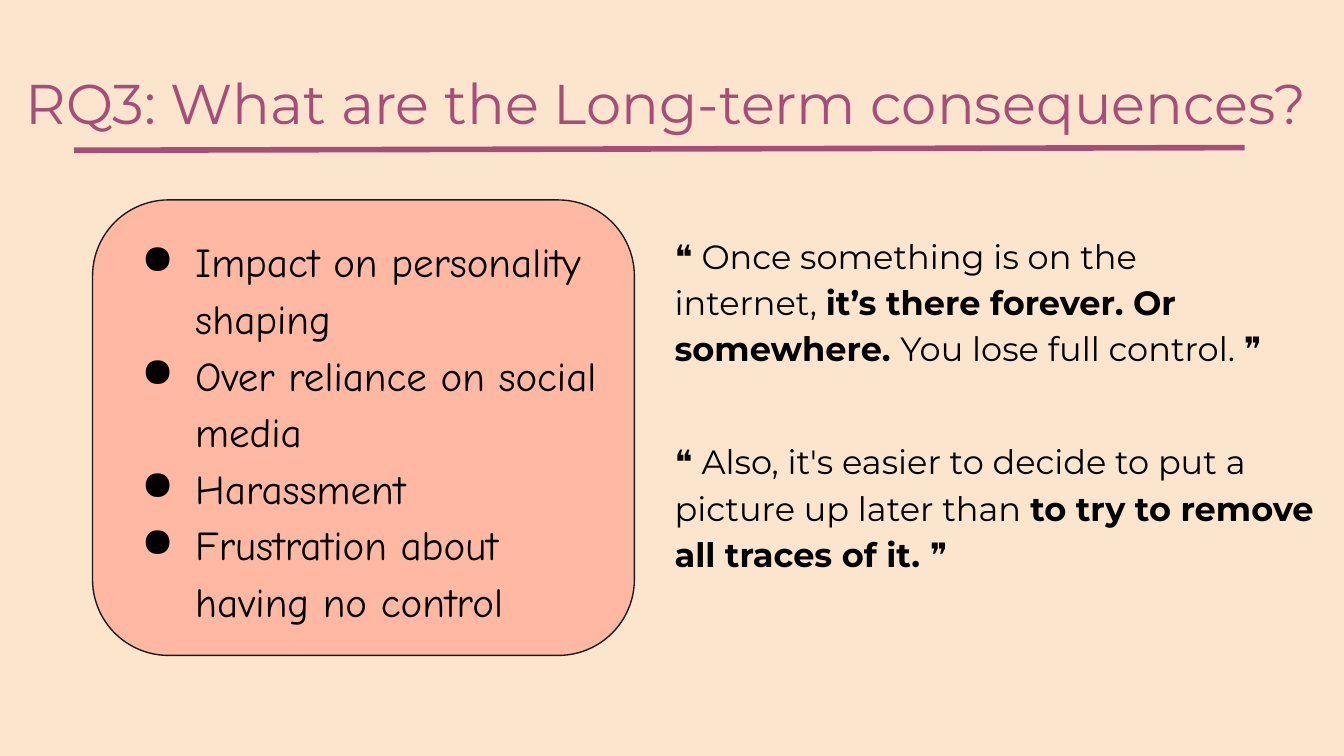
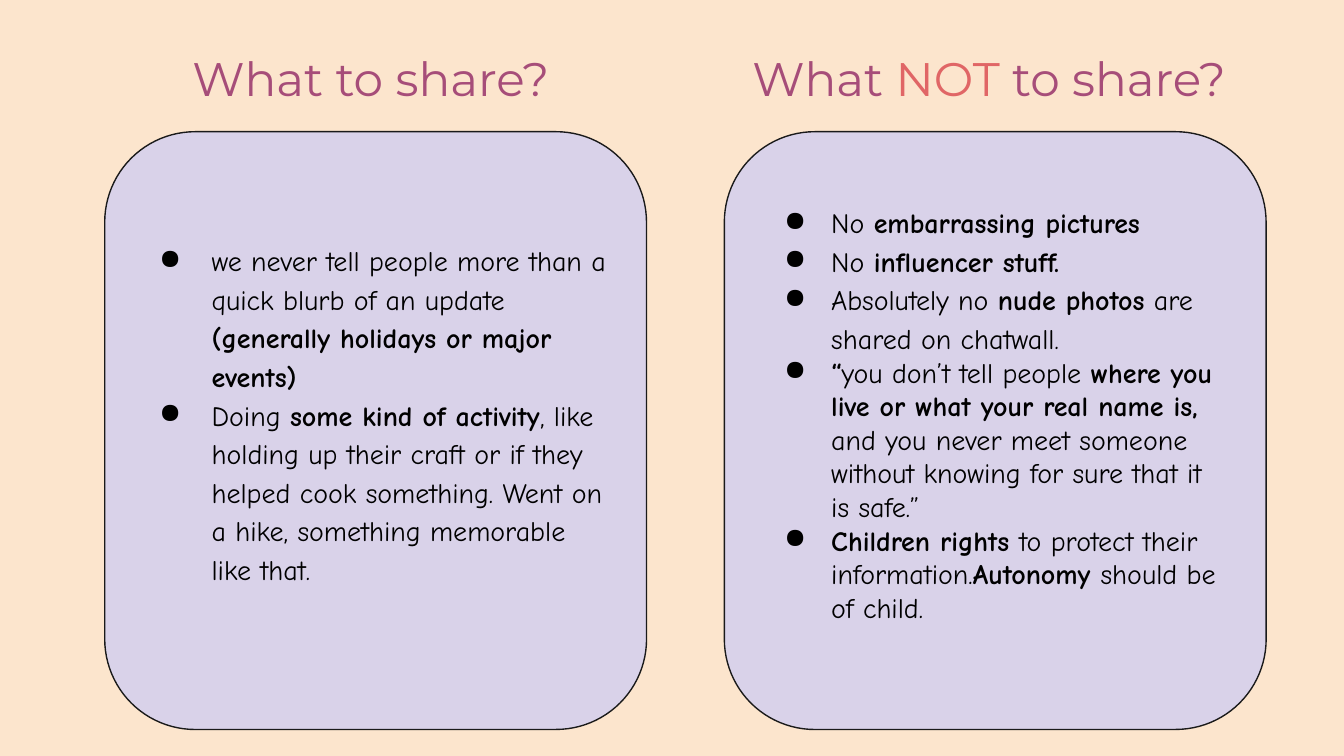
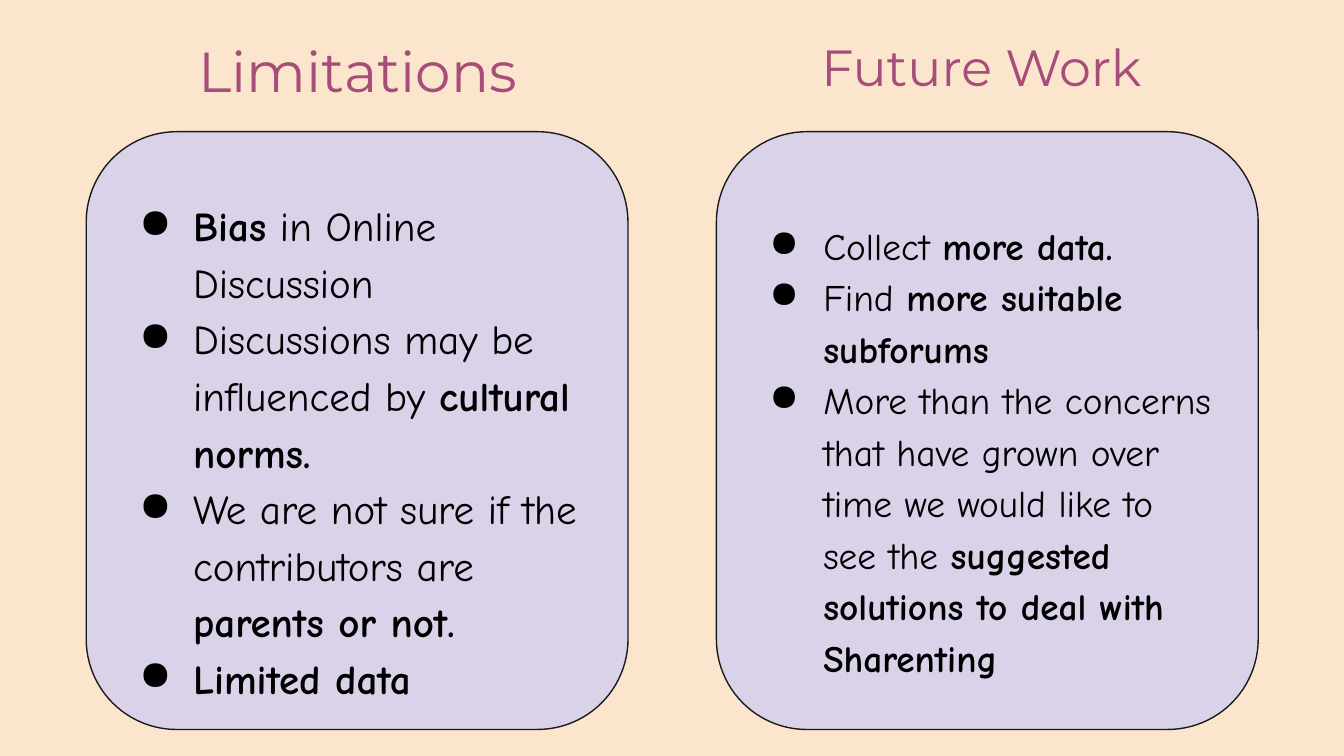
import pptx
import pptx.dml.color
import pptx.enum.shapes
import pptx.enum.text
import pptx.oxml.ns
import pptx.util
from lxml import etree

Cm, Pt = pptx.util.Cm, pptx.util.Pt
Mid = pptx.enum.text.MSO_ANCHOR.MIDDLE
Top = pptx.enum.text.MSO_ANCHOR.TOP
Left = pptx.enum.text.PP_ALIGN.LEFT
Center = pptx.enum.text.PP_ALIGN.CENTER

# Shared look
CREAM, PLUM, ROSE = "FCE5CD", "A64D79", "E06666"
PEACH, LILAC, INK, BLACK = "FFB8A2", "D9D2E9", "1A1A1A", "000000"
HEAD, BODY = "Montserrat", "Comic Neue"
PAD = 0.25
CARD_W, CARD_H, CARD_Y = 10.24, 11.3, 2.49


def color(code):
    return pptx.dml.color.RGBColor.from_string(code)


def child(parent, tag, **attrs):
    return etree.SubElement(parent, pptx.oxml.ns.qn(tag), **attrs)


def style(font, name, size, code):
    font.name, font.size = name, Pt(size)
    font.color.rgb = color(code)


def frame(shape, anchor=Top, top=PAD, bottom=PAD):
    text = shape.text_frame
    text.word_wrap = True
    text.auto_size = pptx.enum.text.MSO_AUTO_SIZE.NONE
    text.vertical_anchor = anchor
    text.margin_left = text.margin_right = Cm(PAD)
    text.margin_top, text.margin_bottom = Cm(top), Cm(bottom)
    return text


def add_run(para, text):
    run = para.add_run()
    run.text = text
    return run


def add_rich(para, text):
    """Add runs; words between asterisks are bold."""
    for i, part in enumerate(text.split("*")):
        if part:
            add_run(para, part).font.bold = bool(i % 2)


def add_box(slide, x, y, w, h):
    return slide.shapes.add_textbox(Cm(x), Cm(y), Cm(w), Cm(h))


def add_head(slide, text, x, y, w, size, first=True, accent=""):
    """The first heading is the slide title, the next is a text box."""
    h = 1.5
    if first:
        box = slide.shapes.title
        box.left, box.top, box.width, box.height = Cm(x), Cm(y), Cm(w), Cm(h)
    else:
        box = add_box(slide, x, y, w, h)
    para = frame(box).paragraphs[0]
    para.alignment = Center
    style(para.font, HEAD, size, PLUM)
    before, mark, after = text.partition(accent) if accent else (text, "", "")
    for part in (before, mark, after):
        if part:
            run = add_run(para, part)
            if part == accent:
                run.font.color.rgb = color(ROSE)


def add_bullet(para, hang):
    props = para._p.get_or_add_pPr()
    props.set("marL", str(Cm(1.27)))
    props.set("indent", str(-Cm(hang)))
    child(child(props, "a:buClr"), "a:srgbClr", val=BLACK)
    child(props, "a:buChar", char="●")


def add_card(slide, x, items, size, y=CARD_Y, h=CARD_H, fill=LILAC,
             hang=1.02, loose=None, top=PAD, bottom=PAD):
    """Rounded card; items after the first `loose` ones are single spaced."""
    kind = pptx.enum.shapes.MSO_SHAPE.ROUNDED_RECTANGLE
    card = slide.shapes.add_shape(kind, Cm(x), Cm(y), Cm(CARD_W), Cm(h))
    card.adjustments[0] = 0.167
    card.shadow.inherit = False
    card.fill.solid()
    card.fill.fore_color.rgb = color(fill)
    card.line.color.rgb = color(INK)
    card.line.width = Pt(0.75)
    text = frame(card, Mid, top, bottom)
    for i, item in enumerate(items):
        para = text.add_paragraph() if i else text.paragraphs[0]
        para.alignment = Left
        para.line_spacing = 1.15 if loose is None or i < loose else 1.0
        add_bullet(para, hang)
        style(para.font, BODY, size, BLACK)
        add_rich(para, item)


def add_quote(slide, text, y, w):
    para = frame(add_box(slide, 12.5, y, w, 3.61)).paragraphs[0]
    para.line_spacing = 1.15
    style(para.font, HEAD, 18, BLACK)
    add_run(para, "❝").font.italic = True
    add_rich(para, text)
    add_run(para, "❞").font.italic = True


def add_rule(slide, x1, y1, x2, y2):
    kind = pptx.enum.shapes.MSO_CONNECTOR.STRAIGHT
    rule = slide.shapes.add_connector(kind, Cm(x1), Cm(y1), Cm(x2), Cm(y2))
    rule.line.color.rgb = color(PLUM)
    rule.line.width = Pt(3)
    child(rule._element.spPr, "a:effectLst")


def main():
    deck = pptx.Presentation()
    deck.slide_width, deck.slide_height = Cm(25.4), Cm(14.29)
    back = deck.slide_master.background.fill
    back.solid()
    back.fore_color.rgb = color(CREAM)
    layout = deck.slide_layouts[5]

    # Long-term consequences
    slide = deck.slides.add_slide(layout)
    add_head(slide, "RQ3: What are the Long-term consequences?",
             -0.36, 1.04, 25.91, 30)
    add_card(slide, 1.75, [
        "Impact on personality shaping",
        "Over reliance on social media",
        "Harassment",
        "Frustration about having no control",
    ], 22, y=3.78, h=8.61, fill=PEACH)
    add_rule(slide, 1.4, 2.84, 23.52, 2.79)
    add_quote(slide, " Once something is on the internet, *it’s there forever. "
              "Or somewhere. *You lose full control. ", 4.09, 11.94)
    add_quote(slide, " Also, it's easier to decide to put a picture up later "
              "than *to try to remove all traces of it. *", 7.98, 13.06)

    # Sharing advice
    slide = deck.slides.add_slide(layout)
    add_head(slide, "What to share? ", 2.87, 0.69, 8.51, 25.2)
    add_head(slide, "What NOT to share? ", 13.54, 0.69, 10.54, 25.2,
             first=False, accent="NOT")
    add_card(slide, 1.98, [
        "we never tell people more than a quick blurb of an update "
        "*(generally holidays or major events)*",
        "Doing *some kind of activity*, like holding up their craft or if "
        "they helped cook something. Went on a hike, something memorable "
        "like that.",
    ], 15, hang=0.99, bottom=0.94)
    add_card(slide, 13.69, [
        "No *embarrassing pictures*",
        "No *influencer stuff.*",
        "Absolutely no *nude photos* are shared on chatwall.",
        "*“*you don’t tell people *where you live or what your real name is,* "
        "and you never meet someone without knowing for sure that it is safe.”",
        "*Children rights *to protect their information.*Autonomy *should be "
        "of child.",
    ], 15, hang=0.89, loose=3, bottom=0.94)

    # Limitations and future work
    slide = deck.slides.add_slide(layout)
    add_head(slide, "Limitations", 2.51, 0.43, 8.51, 30.2)
    add_head(slide, "Future Work ", 14.33, 0.43, 8.69, 27.2, first=False)
    add_card(slide, 1.63, [
        "*Bias* in Online Discussion",
        "Discussions may be influenced by *cultural norms.*",
        "We are not sure if the contributors are *parents or not.*",
        "*Limited data*",
    ], 22, top=0.66, bottom=0)
    add_card(slide, 13.54, [
        "Collect *more data.*",
        "Find *more suitable subforums*",
        "More than the concerns that have grown over time we would like to "
        "see the *suggested solutions to deal with Sharenting*",
    ], 20, top=0.66, bottom=0)

    deck.save("out.pptx")


if __name__ == "__main__":
    main()
